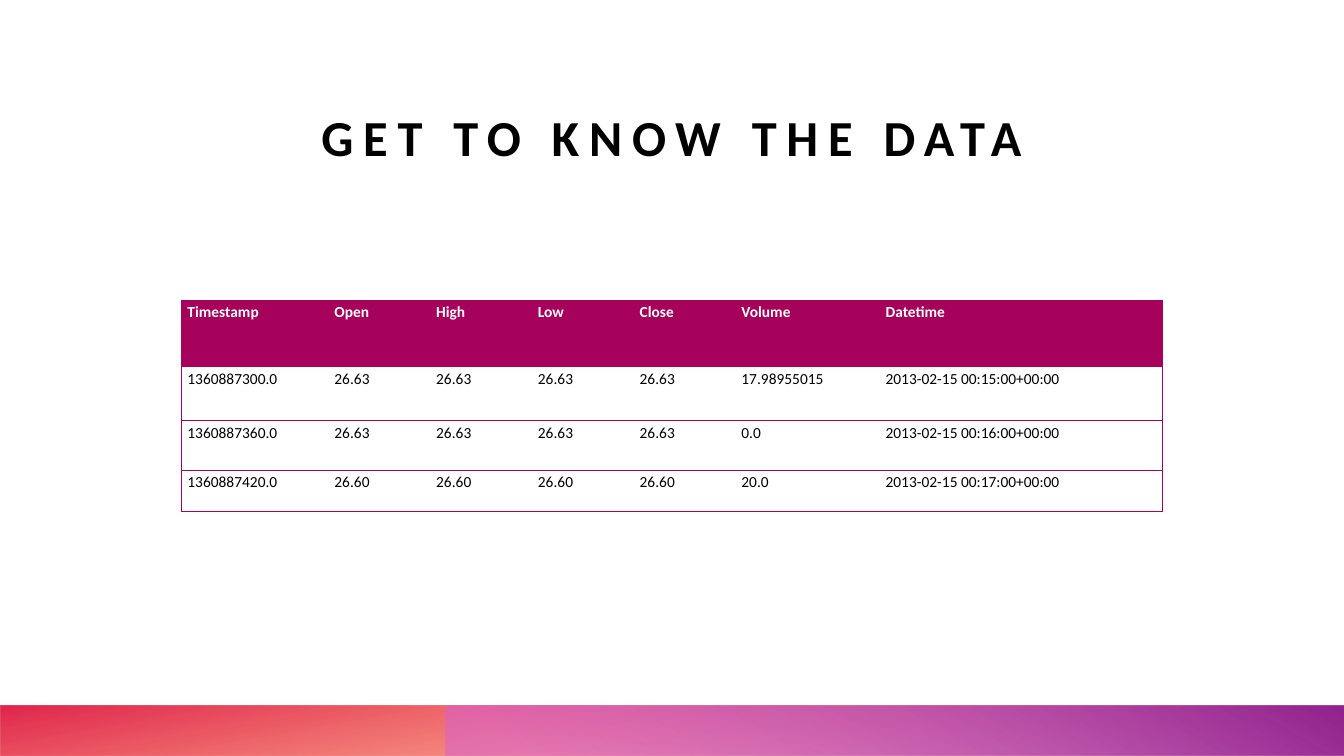
from lxml.etree import SubElement
from pptx import Presentation
from pptx.dml.color import RGBColor
from pptx.enum.shapes import MSO_SHAPE
from pptx.enum.text import MSO_ANCHOR, PP_ALIGN
from pptx.oxml.ns import qn
from pptx.util import Pt

FONT = "Calibri"
COLORS = {
    "text": "000000",
    "header_text": "FFFFFF",
    "accent": "A6025C",
    "orange": "FE4A00",
    "red": "DA002F",
    "pink": "D861D4",
    "purple": "92248E",
}
PLAIN_TABLE_STYLE = "{2D5ABB26-0587-4C30-8999-92F81FD0307C}"

HEADINGS = ["Timestamp", "Open", "High", "Low", "Close", "Volume", "Datetime"]
TRADES = [
    ("1360887300.0", "26.63", "17.98955015", "2013-02-15 00:15:00+00:00"),
    ("1360887360.0", "26.63", "0.0", "2013-02-15 00:16:00+00:00"),
    ("1360887420.0", "26.60", "20.0", "2013-02-15 00:17:00+00:00"),
]
COLUMN_WIDTHS = [105, 72.7, 72.7, 72.7, 72.7, 103, 202]
ROW_HEIGHTS = [47.3, 38.7, 35.5, 29.3]


def add_run(paragraph, text, size, color, bold):
    run = paragraph.add_run()
    run.text = text
    run.font.name = FONT
    run.font.size = Pt(size)
    run.font.bold = bold
    run.font.color.rgb = RGBColor.from_string(COLORS[color])
    return run


def add_gradient_bar(slide, left, top, width, height, stops, angle, rotation=0):
    """Mirrored bar; each stop is (position %, colour name, opacity %)."""
    bar = slide.shapes.add_shape(
        MSO_SHAPE.RECTANGLE, Pt(left), Pt(top), Pt(width), Pt(height))
    bar.shadow.inherit = False
    bar.line.fill.background()
    bar.rotation = rotation
    bar.fill.gradient()
    properties = bar.element.spPr
    properties.find(qn("a:xfrm")).set("flipH", "1")
    gradient = properties.find(qn("a:gradFill"))
    for child in list(gradient):
        gradient.remove(child)
    stop_list = SubElement(gradient, qn("a:gsLst"))
    for position, color, opacity in stops:
        stop = SubElement(stop_list, qn("a:gs"), pos=str(position * 1000))
        shade = SubElement(stop, qn("a:srgbClr"), val=COLORS[color])
        SubElement(shade, qn("a:alpha"), val=str(opacity * 1000))
    SubElement(gradient, qn("a:lin"), ang=str(angle * 60000), scaled="0")


def add_footer(slide, left, top, width, height):
    add_gradient_bar(slide, left, top, width, height,
                     [(14, "orange", 28), (100, "red", 85)], 100, rotation=180)
    red_part = 318
    add_gradient_bar(slide, left + red_part, top, width - red_part, height,
                     [(9, "pink", 55), (99, "purple", 100)], 240)


def add_title(slide, left, top, width, height):
    title = slide.shapes.add_textbox(Pt(left), Pt(top), Pt(width), Pt(height))
    frame = title.text_frame
    frame.word_wrap = True
    frame.vertical_anchor = MSO_ANCHOR.BOTTOM
    frame.margin_left = frame.margin_right = 0
    frame.margin_top = frame.margin_bottom = 0
    paragraph = frame.paragraphs[0]
    paragraph.alignment = PP_ALIGN.CENTER
    run = add_run(paragraph, "GET TO KNOW THE DATA", 36, "text", True)
    run.font._element.set("spc", "700")


def set_borders(cell, sides):
    """Draw an accent line on the given sides and none on the others."""
    properties = cell._tc.get_or_add_tcPr()
    for side in "LRTB":
        line = SubElement(properties, qn(f"a:ln{side}"), w=str(Pt(0.5)))
        if side in sides:
            fill = SubElement(line, qn("a:solidFill"))
            SubElement(fill, qn("a:srgbClr"), val=COLORS["accent"])
        else:
            SubElement(line, qn("a:noFill"))


def fill_cell(cell, text, is_header, sides):
    set_borders(cell, sides)
    if is_header:
        cell.fill.solid()
        cell.fill.fore_color.rgb = RGBColor.from_string(COLORS["accent"])
    else:
        cell.fill.background()
    cell.margin_left = cell.margin_right = Pt(4.3)
    cell.margin_top = cell.margin_bottom = 0
    paragraph = cell.text_frame.paragraphs[0]
    paragraph.line_spacing = 1.15
    paragraph.space_after = Pt(8)
    add_run(paragraph, text, 11, "header_text" if is_header else "text", is_header)


def add_trade_table(slide, left, top):
    rows = [HEADINGS] + [
        [timestamp, *[price] * 4, volume, moment]
        for timestamp, price, volume, moment in TRADES]
    frame = slide.shapes.add_table(
        len(rows), len(HEADINGS), Pt(left), Pt(top),
        Pt(sum(COLUMN_WIDTHS)), Pt(sum(ROW_HEIGHTS)))
    table = frame.table
    table.horz_banding = False
    table._tbl.tblPr.find(qn("a:tableStyleId")).text = PLAIN_TABLE_STYLE
    for column, width in zip(table.columns, COLUMN_WIDTHS):
        column.width = Pt(width)
    for row, height in zip(table.rows, ROW_HEIGHTS):
        row.height = Pt(height)
    last = len(HEADINGS) - 1
    for row_index, values in enumerate(rows):
        for column_index, value in enumerate(values):
            sides = "TB" + {0: "L", last: "R"}.get(column_index, "")
            fill_cell(table.cell(row_index, column_index), value,
                      row_index == 0, sides)


def main():
    presentation = Presentation()
    presentation.slide_width = Pt(960)
    presentation.slide_height = Pt(540)
    slide = presentation.slides.add_slide(presentation.slide_layouts[6])
    add_footer(slide, 0, 504, 960, 36)
    add_title(slide, 77, 21.6, 806, 97.2)
    add_trade_table(slide, 129.6, 214.5)
    presentation.save("out.pptx")


if __name__ == "__main__":
    main()
